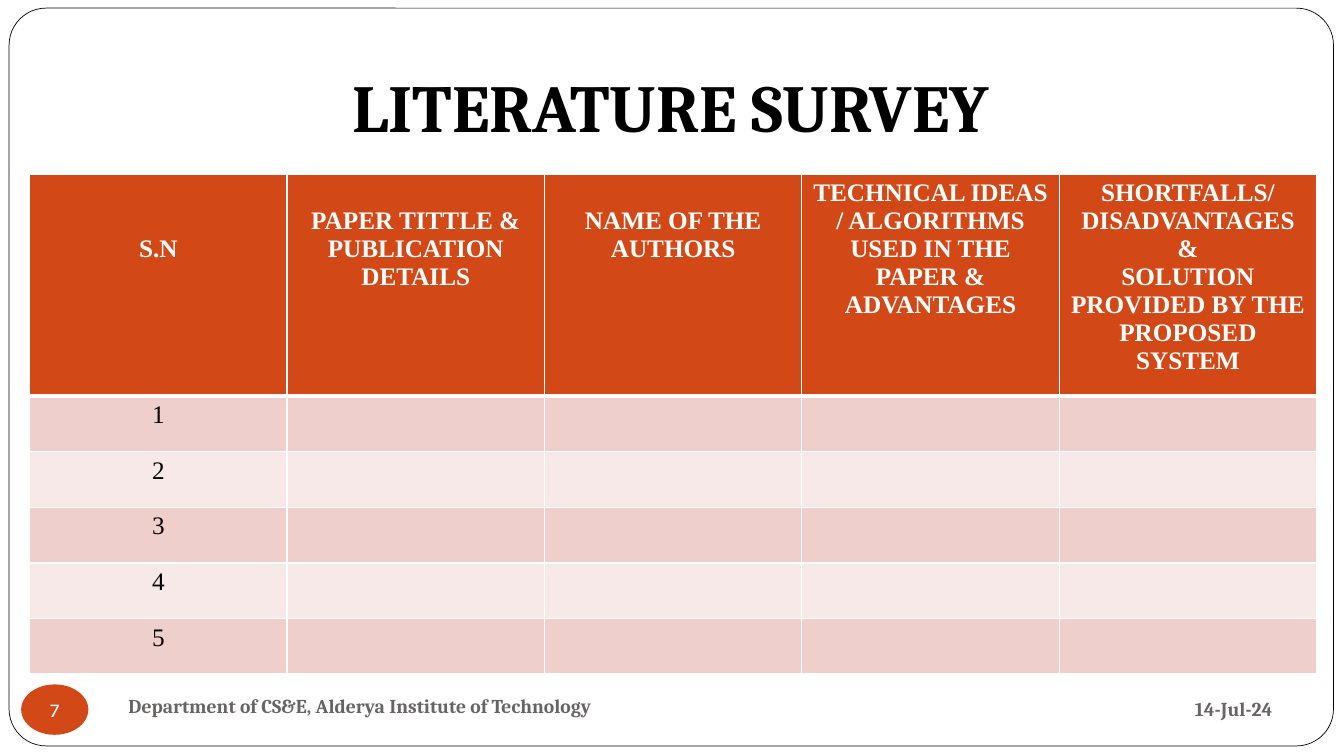
import pptx
import pptx.util
import pptx.dml.color
import pptx.enum.shapes
import pptx.enum.text
import pptx.oxml
import pptx.oxml.ns
import lxml.etree

Pt = pptx.util.Pt
RGB = pptx.dml.color.RGBColor
SHAPE = pptx.enum.shapes.MSO_SHAPE
ALIGN = pptx.enum.text.PP_ALIGN
ANCHOR = pptx.enum.text.MSO_ANCHOR

WHITE = RGB(0xFF, 0xFF, 0xFF)
BLACK = RGB(0, 0, 0)
ORANGE = RGB(0xD3, 0x48, 0x17)
GRAY = RGB(0x69, 0x64, 0x64)
ROSE = RGB(0xEF, 0xCF, 0xCC)
BLUSH = RGB(0xF7, 0xE9, 0xE8)

LINE = 20
HEADS = [
    ("S.N", 2),
    ("PAPER TITTLE &\nPUBLICATION DETAILS", 1),
    ("NAME OF THE AUTHORS", 1),
    ("TECHNICAL IDEAS / ALGORITHMS USED IN THE PAPER & ADVANTAGES", 0),
    ("SHORTFALLS/DISADVANTAGES &\n"
     "SOLUTION PROVIDED BY THE PROPOSED SYSTEM", 0),
]
COUNT = 5


def write(frame, text, size=18, font="Times New Roman", color=BLACK, bold=False):
    frame.word_wrap = True
    frame.text = text
    for para in frame.paragraphs:
        para.alignment = ALIGN.CENTER
        para.font.size = Pt(size)
        for run in para.runs:
            run.font.size = Pt(size)
            run.font.name = font
            run.font.color.rgb = color
            run.font.bold = bold


def add_label(slide, box, text, anchor=ANCHOR.MIDDLE, **form):
    frame = slide.shapes.add_textbox(*map(Pt, box)).text_frame
    write(frame, text, font="Cambria", bold=True, **form)
    frame.vertical_anchor = anchor
    return frame


def add_panel(slide, box):
    panel = slide.shapes.add_shape(SHAPE.ROUNDED_RECTANGLE, *map(Pt, box))
    panel.shadow.inherit = False
    panel.adjustments[0] = 0.05
    panel.fill.solid()
    panel.fill.fore_color.rgb = WHITE
    panel.line.color.rgb = BLACK
    panel.line.width = Pt(0.5)


def add_title(slide, box):
    frame = add_label(slide, box, "LITERATURE SURVEY", ANCHOR.BOTTOM, size=48)
    frame.margin_bottom = Pt(7.2)


def set_edge(cell, side, width):
    props = cell._tc.get_or_add_tcPr()
    edge = lxml.etree.SubElement(props, pptx.oxml.ns.qn("a:" + side), w=str(Pt(width)))
    fill = lxml.etree.SubElement(edge, pptx.oxml.ns.qn("a:solidFill"))
    lxml.etree.SubElement(fill, pptx.oxml.ns.qn("a:srgbClr"), val=str(WHITE))


def style_cell(cell, color, top=1, base=1):
    for side, width in (("lnL", 1), ("lnR", 1), ("lnT", top), ("lnB", base)):
        set_edge(cell, side, width)
    cell.fill.solid()
    cell.fill.fore_color.rgb = color


def add_survey(slide, box, head=157):
    table = slide.shapes.add_table(COUNT + 1, len(HEADS), *map(Pt, box)).table
    for col in table.columns:
        col.width = Pt(box[2] / len(HEADS))
    table.rows[0].height = Pt(head)
    for cell, (text, skip) in zip(table.rows[0].cells, HEADS):
        write(cell.text_frame, text, color=WHITE, bold=True)
        cell.margin_top = Pt(3.6 + skip * LINE)
        style_cell(cell, ORANGE, base=3)
    for num in range(1, COUNT + 1):
        row = table.rows[num]
        row.height = Pt((box[3] - head) / COUNT)
        for cell in row.cells:
            style_cell(cell, ROSE if num % 2 else BLUSH, top=3 if num == 1 else 1)
        write(row.cells[0].text_frame, str(num))


def add_footer(slide, box):
    left, top, width, height = box
    badge = slide.shapes.add_shape(
        SHAPE.OVAL, Pt(left), Pt(top + 2.9), Pt(48), Pt(36))
    badge.shadow.inherit = False
    badge.fill.solid()
    badge.fill.fore_color.rgb = ORANGE
    badge.line.fill.background()
    frame = badge.text_frame
    write(frame, "7", size=14, font="Karla", color=WHITE)
    frame.word_wrap = False
    frame.vertical_anchor = ANCHOR.MIDDLE
    frame.margin_left = frame.margin_right = 0
    frame.margin_top = frame.margin_bottom = 0
    add_label(slide, (left + 54.7, top, 375, 36),
              "Department of CS&E, Alderya Institute of Technology",
              size=14, color=GRAY)
    add_label(slide, (left + width - 86.4, top + 1.4, 86.4, 37.4),
              "14-Jul-24", size=14, color=GRAY)


def main():
    deck = pptx.Presentation()
    deck.slide_width, deck.slide_height = Pt(960), Pt(540)
    slide = deck.slides.add_slide(deck.slide_layouts[6])
    add_panel(slide, (6.5, 5.8, 946, 527))
    add_title(slide, (13, 21.6, 932.4, 90))
    add_survey(slide, (21.2, 124.6, 919.4, 355.5))
    add_footer(slide, (15.1, 486, 909.4, 39))
    deck.save("out.pptx")


if __name__ == "__main__":
    main()
